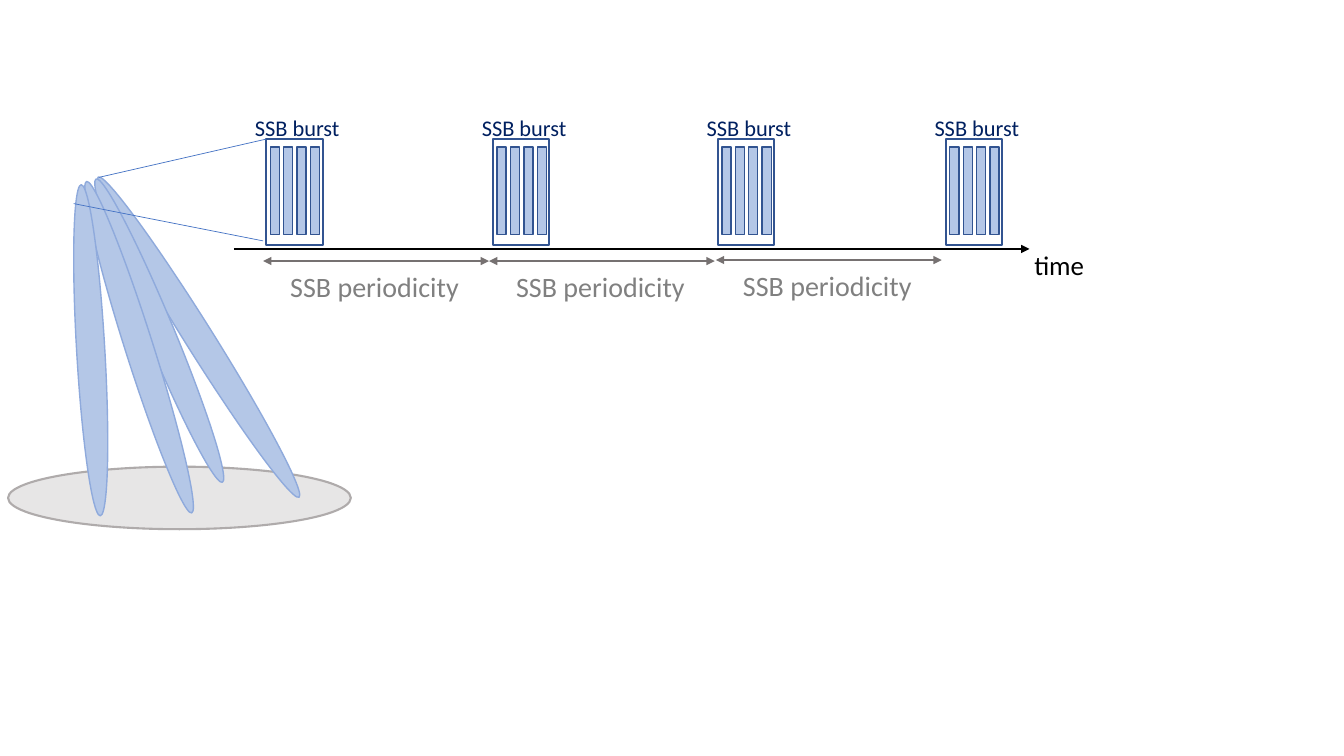
from dataclasses import dataclass

from lxml import etree
from pptx import Presentation
from pptx.dml.color import RGBColor
from pptx.enum.shapes import MSO_CONNECTOR, MSO_SHAPE
from pptx.enum.text import MSO_AUTO_SIZE
from pptx.oxml.ns import qn
from pptx.util import Inches, Pt

OVAL, RECTANGLE = MSO_SHAPE.OVAL, MSO_SHAPE.RECTANGLE
STRAIGHT = MSO_CONNECTOR.STRAIGHT
GROW = MSO_AUTO_SIZE.SHAPE_TO_FIT_TEXT


@dataclass(frozen=True)
class Theme:
    font: str = "Calibri"
    cell_fill: str = "E7E6E6"
    cell_line: str = "AFABAB"
    beam_fill: str = "B4C7E7"
    beam_line: str = "8FAADC"
    burst_line: str = "325491"
    zoom_line: str = "4472C4"
    axis: str = "000000"
    period_line: str = "767171"
    period_text: str = "808080"
    burst_text: str = "002060"
    burst_size: float = 16
    time_size: float = 19.2
    period_size: float = 20


THEME = Theme()

# Content: lengths in inches
COVERAGE_CELL = (0.08, 4.63, 3.4, 0.62)
BEAM_WIDTH = 0.28
BEAMS = [  # left, top, height, rotation
    (1.83, 1.47, 3.75, 327.9),
    (1.44, 1.65, 3.26, 337.4),
    (1.24, 1.72, 3.45, 342.4),
    (0.76, 1.83, 3.29, 356.7),
]
TIME_AXIS = ((2.32, 2.47), (10.21, 2.47))
TIME_LABEL = ("time", (10.16, 2.42, 0.7, 0.42))
PERIOD_LABEL = "SSB periodicity"
PERIODS = [(2.61, 2.59), (4.85, 2.59), (7.1, 2.58)]  # arrow starts
PERIOD_LENGTH = 2.24
BURST_LABEL = "SSB burst"
BURST_LEFTS = [2.64, 4.89, 7.12, 9.38]
BURST_TOP, BURST_WIDTH, BURST_HEIGHT = 1.38, 0.56, 1.05
BLOCK_COUNT, BLOCK_STEP, BLOCK_WIDTH, BLOCK_HEIGHT = 4, 0.133, 0.09, 0.87
ZOOM_LINES = [((0.98, 1.76), (2.64, 1.38)), ((0.73, 2.02), (2.61, 2.39))]


def inches(values):
    return [Inches(value) for value in values]


def add_box(page, kind, frame, fill, line, weight, rotation=0):
    box = page.shapes.add_shape(kind, *inches(frame))
    box.shadow.inherit = False
    box.rotation = rotation
    if fill:
        box.fill.solid()
        box.fill.fore_color.rgb = RGBColor.from_string(fill)
    else:
        box.fill.background()
    box.line.color.rgb = RGBColor.from_string(line)
    box.line.width = Pt(weight)


def add_line(page, start, end, color, weight, arrowheads=()):
    """Arrowheads holds "headEnd" and/or "tailEnd", in that order."""
    line = page.shapes.add_connector(STRAIGHT, *inches(start + end))
    line.line.color.rgb = RGBColor.from_string(color)
    line.line.width = Pt(weight)
    outline = line.line._get_or_add_ln()
    for arrowhead in arrowheads:
        etree.SubElement(outline, qn(f"a:{arrowhead}"), type="triangle")
    etree.SubElement(line._element.spPr, qn("a:effectLst"))


def add_label(page, text, frame, size, color, wrap=False):
    box = page.shapes.add_textbox(*inches(frame))
    box.text_frame.word_wrap = wrap
    box.text_frame.auto_size = GROW
    para = box.text_frame.paragraphs[0]
    para.text = text
    para.font.name = THEME.font
    para.font.size = Pt(size)
    para.font.color.rgb = RGBColor.from_string(color)


def add_coverage(page):
    add_box(page, OVAL, COVERAGE_CELL, THEME.cell_fill, THEME.cell_line, 1.5)
    for left, top, height, rotation in BEAMS:
        add_box(page, OVAL, (left, top, BEAM_WIDTH, height),
                THEME.beam_fill, THEME.beam_line, 1, rotation)


def add_timeline(page):
    add_line(page, *TIME_AXIS, THEME.axis, 1.5, ["tailEnd"])
    add_label(page, *TIME_LABEL, THEME.time_size, THEME.axis)
    for left, top in PERIODS:
        add_line(page, (left, top), (left + PERIOD_LENGTH, top),
                 THEME.period_line, 1, ["headEnd", "tailEnd"])
        add_label(page, PERIOD_LABEL, (left + 0.17, top + 0.03, 1.89, 0.44),
                  THEME.period_size, THEME.period_text)


def add_burst(page, left):
    add_box(page, RECTANGLE, (left, BURST_TOP, BURST_WIDTH, BURST_HEIGHT),
            None, THEME.burst_line, 1.5)
    for index in range(BLOCK_COUNT):
        block_left = left + 0.04 + index * BLOCK_STEP
        add_box(page, RECTANGLE,
                (block_left, BURST_TOP + 0.08, BLOCK_WIDTH, BLOCK_HEIGHT),
                THEME.beam_fill, THEME.burst_line, 1)
    add_label(page, BURST_LABEL, (left - 0.21, BURST_TOP - 0.3, 1.05, 0.37),
              THEME.burst_size, THEME.burst_text, wrap=True)


def main():
    deck = Presentation()
    deck.slide_width, deck.slide_height = Inches(13.33), Inches(7.5)
    page = deck.slides.add_slide(deck.slide_layouts[6])
    add_coverage(page)
    add_timeline(page)
    for left in BURST_LEFTS:
        add_burst(page, left)
    for start, end in ZOOM_LINES:
        add_line(page, start, end, THEME.zoom_line, 0.5)
    deck.save("out.pptx")


if __name__ == "__main__":
    main()
